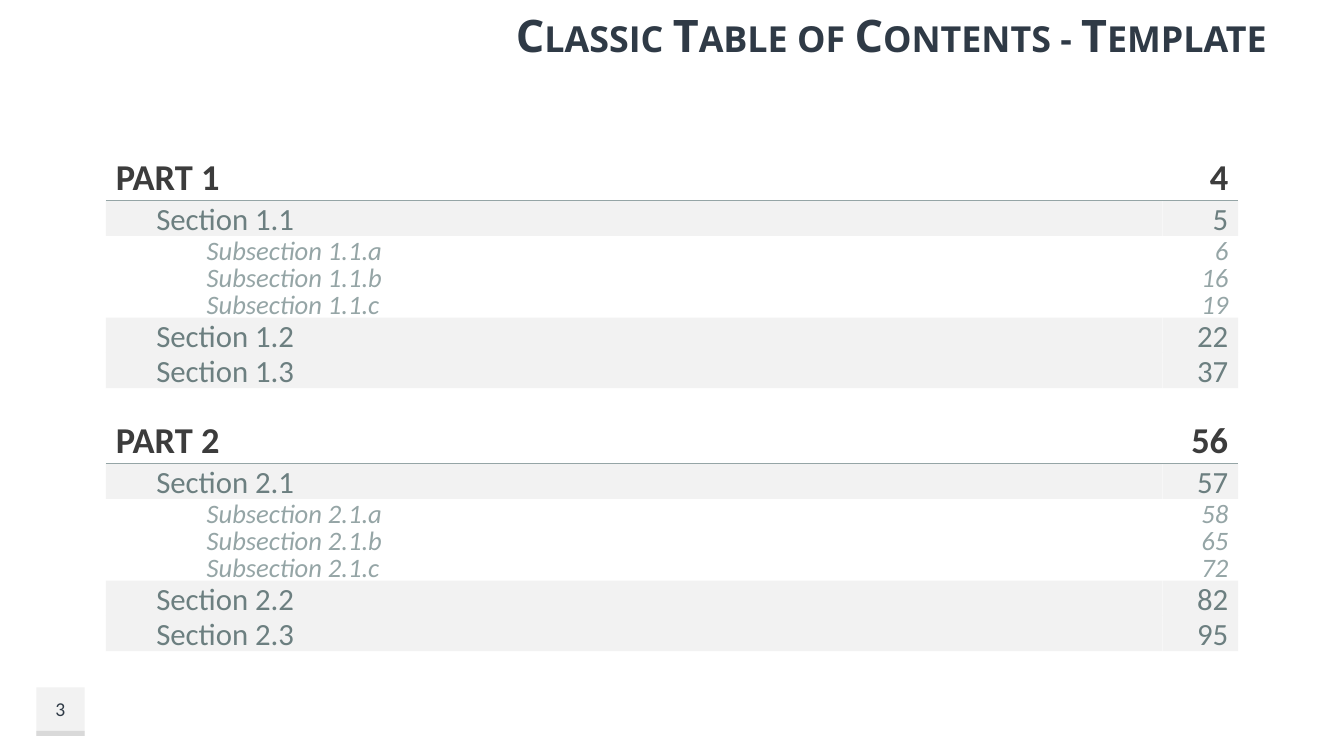
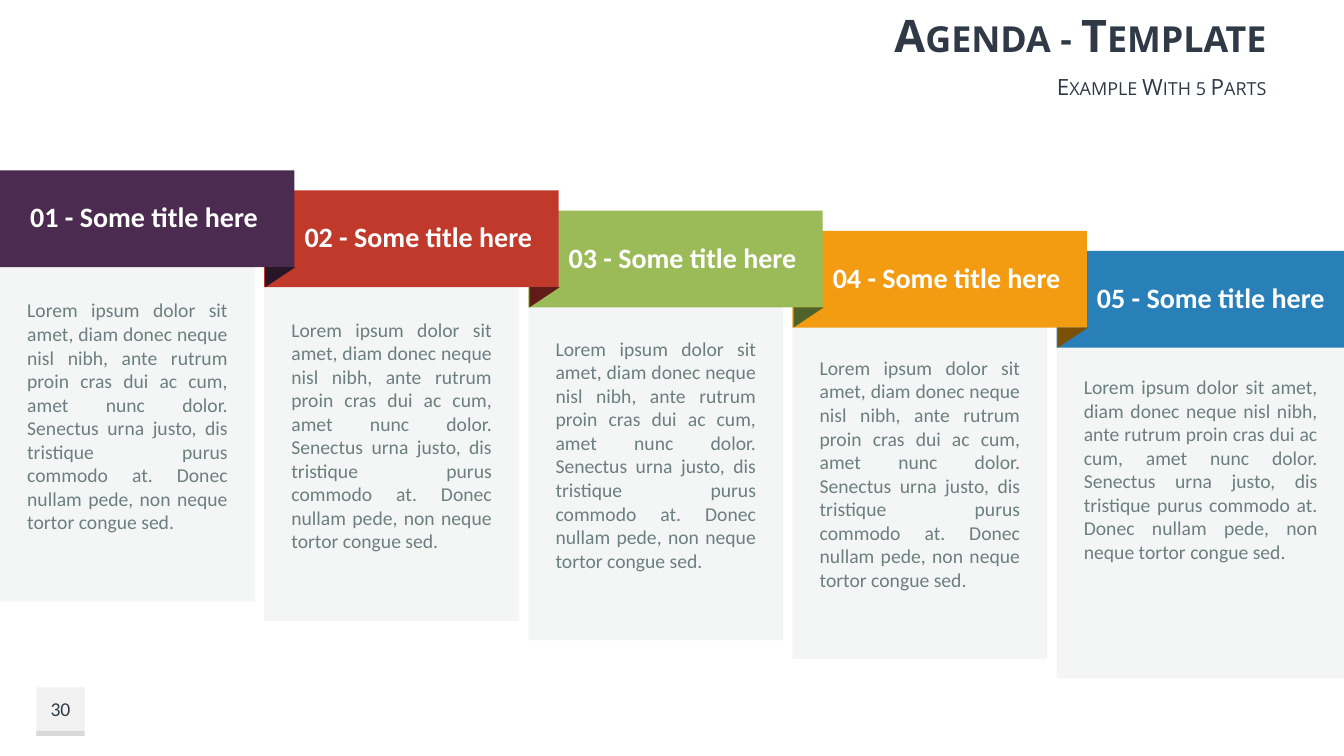
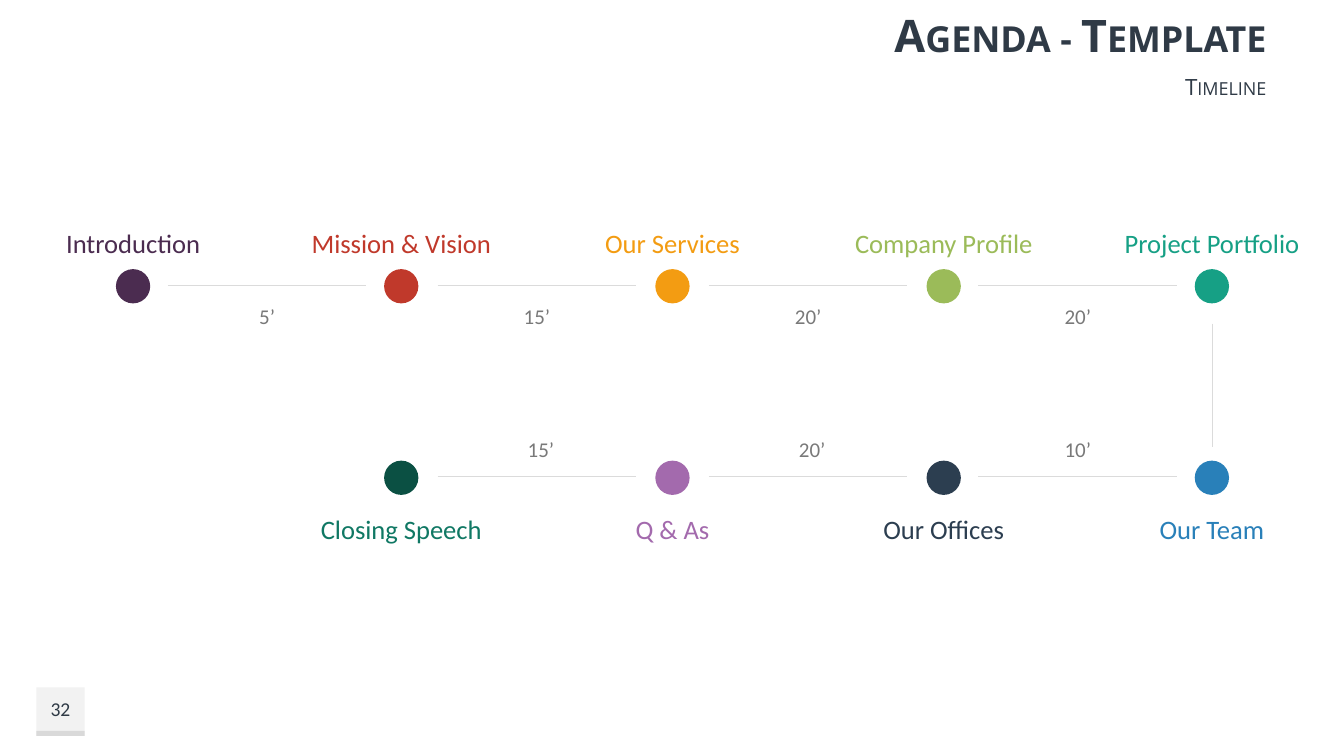
"""Build three slides: a table of contents, a five-part agenda and a timeline."""
from itertools import pairwise

from lxml.etree import SubElement
from pptx import Presentation
from pptx.dml.color import RGBColor
from pptx.enum.shapes import MSO_CONNECTOR, MSO_SHAPE
from pptx.enum.text import MSO_ANCHOR, PP_ALIGN
from pptx.oxml.ns import qn
from pptx.util import Inches, Pt

COLORS = {
    "title": "2F3A46", "part": "3C3C3C", "section": "6C7F80", "muted": "95A5A6",
    "band": "F2F2F2", "band_edge": "D9D9D9", "rule": "DBDBDB", "duration": "797979",
    "white": "FFFFFF", "purple": "4B2C50", "red": "C0392B", "green": "9BBB59",
    "orange": "F39C12", "blue": "2980B9", "teal": "16A085", "pine": "0B5043",
    "pine_text": "107864", "lilac": "A36AAD", "navy": "2C3E50",
    "purple_fold": "261628", "red_fold": "601C16", "green_fold": "4F6228",
    "orange_fold": "7C4F06",
}
BODY_FONT, TITLE_FONT = "Calibri", "Open Sans"
LEFT, CENTER, RIGHT = PP_ALIGN.LEFT, PP_ALIGN.CENTER, PP_ALIGN.RIGHT
INSETS = (0.1, 0.05, 0.1, 0.05)

LEVELS = {
    "part": dict(height=0.49, indent=0.1, fill=None,
                 text=dict(size=26, color="part", bold=True)),
    "section": dict(height=0.35, indent=0.5, fill="band",
                    text=dict(size=22, color="section")),
    "subsection": dict(height=0.27, indent=1, fill=None,
                       text=dict(size=19, color="muted", italic=True)),
}
CONTENTS = [
    (1.5, [("part", "PART 1", "4"), ("section", "Section 1.1", "5"),
           ("subsection", "Subsection 1.1.a", "6"),
           ("subsection", "Subsection 1.1.b", "16"),
           ("subsection", "Subsection 1.1.c", "19"),
           ("section", "Section 1.2", "22"), ("section", "Section 1.3", "37")]),
    (4.11, [("part", "PART 2", "56"), ("section", "Section 2.1", "57"),
            ("subsection", "Subsection 2.1.a", "58"),
            ("subsection", "Subsection 2.1.b", "65"),
            ("subsection", "Subsection 2.1.c", "72"),
            ("section", "Section 2.2", "82"), ("section", "Section 2.3", "95")]),
]

AGENDA_COLORS = ["purple", "red", "green", "orange", "blue"]
AGENDA_TEXT = (
    "Lorem ipsum dolor sit amet, diam donec neque nisl nibh, ante rutrum proin cras dui "
    "ac cum, amet nunc dolor. Senectus urna justo, dis tristique purus commodo at. Donec "
    "nullam pede, non neque tortor congue sed."
)

STOP_CENTERS = [1.32, 3.98, 6.67, 9.36, 12.02]
TOP_STOPS = [
    ("Introduction", "purple", "purple"), ("Mission & Vision", "red", "red"),
    ("Our Services", "orange", "orange"), ("Company Profile", "green", "green"),
    ("Project Portfolio", "teal", "teal"),
]
BOTTOM_STOPS = [
    ("Closing Speech", "pine", "pine_text"), ("Q & As", "lilac", "lilac"),
    ("Our Offices", "navy", "navy"), ("Our Team", "blue", "blue"),
]
TOP_DURATIONS = [("5’", 0), ("15’", 0), ("20’", 0), ("20’", 0)]
BOTTOM_DURATIONS = [("15’", 0.04), ("20’", 0.04), ("10’", 0)]


def rgb(name):
    """Return the named colour."""
    return RGBColor.from_string(COLORS[name])


def write(shape, text, size=14, color="title", font=BODY_FONT, bold=False, italic=False,
          small_caps=False, align=LEFT, anchor=MSO_ANCHOR.MIDDLE, insets=INSETS,
          line_spacing=None, space_after=None):
    """Put one formatted paragraph into a shape."""
    frame = shape.text_frame
    frame.word_wrap = True
    frame.vertical_anchor = anchor
    (frame.margin_left, frame.margin_top,
     frame.margin_right, frame.margin_bottom) = map(Inches, insets)
    paragraph = frame.paragraphs[0]
    paragraph.alignment = align
    if line_spacing:
        paragraph.line_spacing = line_spacing
    if space_after:
        paragraph.space_after = Pt(space_after)
    run = paragraph.add_run()
    run.text = text
    run.font.name, run.font.size = font, Pt(size)
    run.font.bold, run.font.italic = bold, italic
    run.font.color.rgb = rgb(color)
    if small_caps:
        run.font._element.set("cap", "small")


def add_block(slide, left, top, width, height, fill, kind=MSO_SHAPE.RECTANGLE,
              opacity=None, rotation=0):
    """Add a flat filled shape without an outline."""
    shape = slide.shapes.add_shape(kind, *map(Inches, (left, top, width, height)))
    shape.shadow.inherit = False
    shape.fill.solid()
    shape.fill.fore_color.rgb = rgb(fill)
    shape.line.fill.background()
    shape.rotation = rotation
    if opacity is not None:
        color = shape.fill._xPr.find(qn("a:solidFill")).find(qn("a:srgbClr"))
        SubElement(color, qn("a:alpha")).set("val", str(opacity * 1000))
    return shape


def add_label(slide, text, left, top, width, height, fill=None, **text_format):
    """Add text in a plain box, or in a filled one when a fill is named."""
    if fill:
        shape = add_block(slide, left, top, width, height, fill)
    else:
        shape = slide.shapes.add_textbox(*map(Inches, (left, top, width, height)))
    write(shape, text, **text_format)


def add_rule(slide, start_x, start_y, end_x, end_y, color):
    """Add a thin straight line."""
    line = slide.shapes.add_connector(
        MSO_CONNECTOR.STRAIGHT, *map(Inches, (start_x, start_y, end_x, end_y)))
    line.line.color.rgb = rgb(color)
    line.line.width = Pt(0.75)
    SubElement(line._element.spPr, qn("a:effectLst"))


def add_slide(presentation, number, title, subtitle=None):
    """Add a blank slide with the shared title and page number."""
    slide = presentation.slides.add_slide(presentation.slide_layouts[6])
    heading = dict(font=TITLE_FONT, small_caps=True, align=RIGHT)
    add_block(slide, 0.36, 6.82, 0.48, 0.48, "band")
    add_block(slide, 0.36, 7.25, 0.48, 0.05, "band_edge")
    add_label(slide, number, 0.36, 6.82, 0.48, 0.43, align=CENTER)
    add_label(slide, title, 4.25, 0, 8.41, 0.68, size=32, bold=True, **heading)
    if subtitle:
        add_label(slide, subtitle, 4.25, 0.7, 8.41, 0.31, size=16, **heading)
    return slide


def add_contents_part(slide, top, rows):
    """Stack the rows of one part and underline its heading."""
    left, label_width, page_width = 1.05, 10.48, 0.75
    page_left = left + label_width
    rule_y = top + LEVELS["part"]["height"]
    for level_name, label, page in rows:
        level = LEVELS[level_name]
        height, fill, text_format = level["height"], level["fill"], level["text"]
        add_label(slide, label, left, top, label_width, height, fill,
                  insets=(level["indent"], *INSETS[1:]), **text_format)
        add_label(slide, page, page_left, top, page_width, height, fill,
                  align=RIGHT, **text_format)
        top += height
    add_rule(slide, left, rule_y, page_left + page_width, rule_y, "muted")


def add_agenda_card(slide, index, color):
    """Add one step of the agenda: grey card, banner and fold."""
    first, last = index == 0, index == len(AGENDA_COLORS) - 1
    left = 2.62 * index
    banner_top = 1.69 + 0.2 * index
    card = add_block(slide, left, 2.56 + 0.19 * index, 2.86 if last else 2.53, 3.41,
                     "muted", opacity=10)
    write(card, AGENDA_TEXT, color="section", align=PP_ALIGN.JUSTIFY,
          anchor=MSO_ANCHOR.TOP, insets=(0.27, 0.4, 0.27, 0.27))
    add_label(slide, f"{index + 1:02} - Some title here", left, banner_top,
              2.85 if last else 2.92, 0.96, color, size=20, color="white", bold=True,
              insets=(0.3 if first else 0.4, 0, 0, 0), line_spacing=0.9, space_after=2.6)
    if not last:
        add_block(slide, left + 2.68, banner_top + 0.91, 0.2, 0.3, f"{color}_fold",
                  MSO_SHAPE.RIGHT_TRIANGLE, rotation=90)


def add_timeline_row(slide, centers, stops, durations, dot_top, label_top, duration_top,
                     label_anchor):
    """Add a row of stops with the durations between them."""
    dot, label_width, rule_width, duration_width = 0.34, 2.12, 1.97, 2.08
    rule_y = dot_top + 0.16
    for center, (label, dot_color, text_color) in zip(centers, stops):
        add_block(slide, center - dot / 2, dot_top, dot, dot, dot_color, MSO_SHAPE.OVAL)
        add_label(slide, label, center - label_width / 2, label_top, label_width, 0.42,
                  size=19, color=text_color, align=CENTER, anchor=label_anchor)
    for (start, end), (duration, shift) in zip(pairwise(centers), durations):
        middle = (start + end) / 2
        add_rule(slide, middle - rule_width / 2, rule_y, middle + rule_width / 2, rule_y,
                 "rule")
        add_label(slide, duration, middle + shift - duration_width / 2, duration_top,
                  duration_width, 0.35, size=15, color="duration", align=CENTER,
                  anchor=MSO_ANCHOR.TOP)


def build_contents(presentation):
    """Build the table of contents."""
    slide = add_slide(presentation, "3", "Classic Table of Contents - Template")
    for top, rows in CONTENTS:
        add_contents_part(slide, top, rows)


def build_agenda(presentation):
    """Build the stepped agenda, from the last card to the first."""
    slide = add_slide(presentation, "30", "Agenda - Template", "Example With 5 Parts")
    for index, color in reversed(list(enumerate(AGENDA_COLORS))):
        add_agenda_card(slide, index, color)


def build_timeline(presentation):
    """Build the two-row timeline."""
    slide = add_slide(presentation, "32", "Agenda - Template", "Timeline")
    add_timeline_row(slide, STOP_CENTERS, TOP_STOPS, TOP_DURATIONS, dot_top=2.67,
                     label_top=2.2, duration_top=2.96, label_anchor=MSO_ANCHOR.BOTTOM)
    add_timeline_row(slide, STOP_CENTERS[1:], BOTTOM_STOPS, BOTTOM_DURATIONS, dot_top=4.57,
                     label_top=5.04, duration_top=4.28, label_anchor=MSO_ANCHOR.TOP)
    add_rule(slide, 12.03, 3.21, 12.03, 4.43, "rule")


def main():
    """Build and save the presentation."""
    presentation = Presentation()
    presentation.slide_width, presentation.slide_height = Inches(13.33), Inches(7.5)
    build_contents(presentation)
    build_agenda(presentation)
    build_timeline(presentation)
    presentation.save("out.pptx")


if __name__ == "__main__":
    main()
